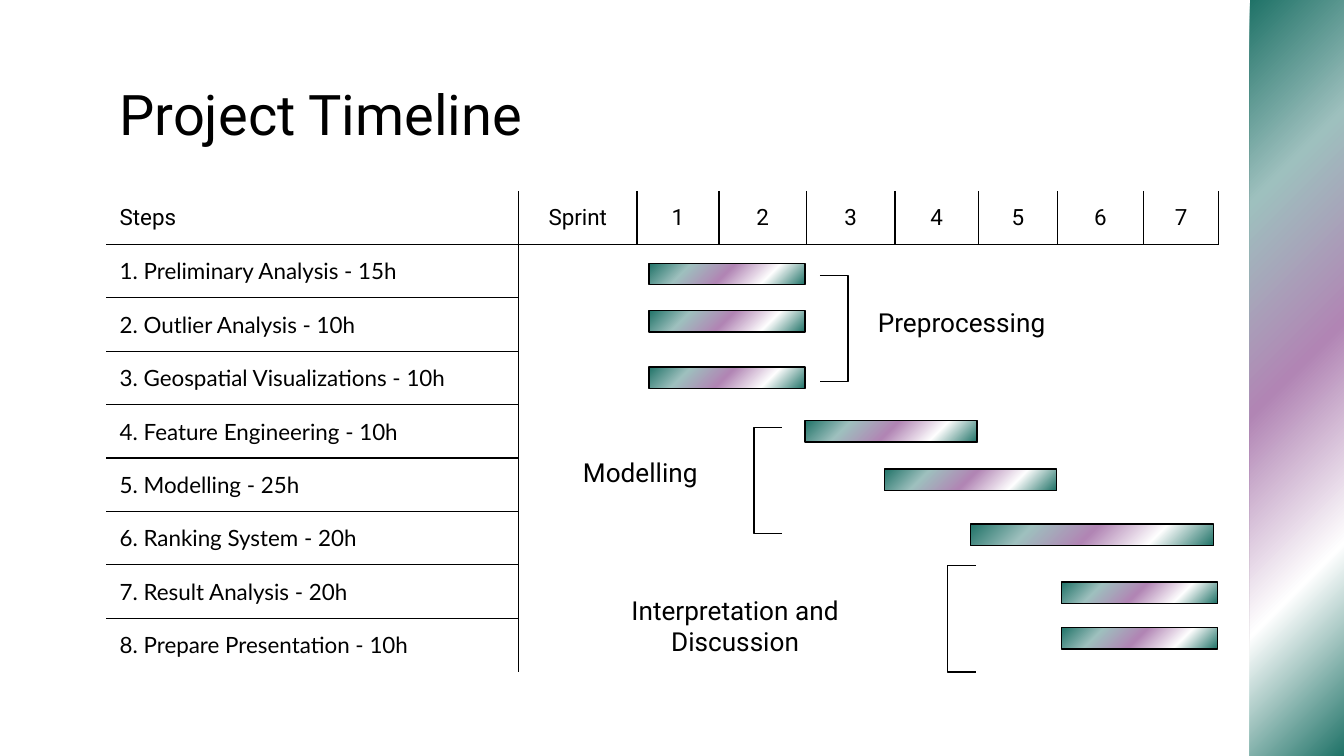
from lxml.etree import SubElement
from pptx import Presentation
from pptx.dml.color import RGBColor
from pptx.enum.shapes import MSO_SHAPE
from pptx.enum.text import MSO_ANCHOR, PP_ALIGN
from pptx.oxml import parse_xml
from pptx.oxml.ns import nsdecls, qn
from pptx.util import Inches, Pt

deck = Presentation()
deck.slide_width, deck.slide_height = Inches(10), Inches(5.625)
slide = deck.slides.add_slide(deck.slide_layouts[6])
shapes = slide.shapes

BLACK = "000000"
NO_STYLE = "{2D5ABB26-0587-4C30-8999-92F81FD0307C}"
STOPS = [(0, "207368"), (24, "9EC0BE"), (49, "B185B4"), (75, "FFFFFF"), (100, "207368")]
GRADIENT_STOPS = "".join(
    f'<a:gs pos="{share * 1000}"><a:srgbClr val="{shade}"/></a:gs>' for share, shade in STOPS
)


def percent(left, top, width, height):
    """Turn shares of the slide, in percent, into a position and a size."""
    across, down = deck.slide_width / 100, deck.slide_height / 100
    return int(left * across), int(top * down), int(width * across), int(height * down)


def write(frame, text, size, font="Roboto", align=PP_ALIGN.LEFT):
    frame.text = text
    paragraph = frame.paragraphs[0]
    paragraph.alignment = align
    for name, value in {"size": Pt(size), "name": font}.items():
        setattr(paragraph.font, name, value)
    paragraph.font.color.rgb = RGBColor.from_string(BLACK)


# Steps on the left, sprint numbers across the top, one open area for the bars
steps = [
    "Preliminary Analysis - 15h", "Outlier Analysis - 10h",
    "Geospatial Visualizations - 10h", "Feature Engineering - 10h",
    "Modelling - 25h", "Ranking System - 20h",
    "Result Analysis - 20h", "Prepare Presentation - 10h",
]
column_widths = [7.4, 7.4, 15.9, 8.8, 6.1, 6.5, 6.6, 6.2, 5.9, 6.4, 5.6]
row_height = 7.07
row_count, column_count = len(steps) + 1, len(column_widths)
plan = shapes.add_table(
    row_count, column_count,
    *percent(7.9, 25.24, sum(column_widths), row_height * row_count),
).table
plan.first_row = plan.horz_banding = False
plan._tbl.tblPr.find(qn("a:tableStyleId")).text = NO_STYLE
for column, width in zip(plan.columns, column_widths):
    column.width = percent(0, 0, width, 0)[2]
for row in plan.rows:
    row.height = percent(0, 0, 0, row_height)[3]

entries = {(0, 0): ("Steps", "Roboto", PP_ALIGN.LEFT, "RB")}
for offset, heading in enumerate(["Sprint", *"1234567"]):
    entries[0, 3 + offset] = (heading, "Roboto", PP_ALIGN.CENTER, "LRB")
for number, step in enumerate(steps, 1):
    sides = "RT" if number == len(steps) else "RTB"
    entries[number, 0] = (f"{number}. {step}", "Lato", PP_ALIGN.LEFT, sides)
entries[1, 3] = ("", "Lato", PP_ALIGN.LEFT, "LT")

for number in range(row_count):
    plan.cell(number, 0).merge(plan.cell(number, 2))
plan.cell(1, 3).merge(plan.cell(row_count - 1, column_count - 1))

cell_format = {
    "vertical_anchor": MSO_ANCHOR.MIDDLE,
    "margin_left": Inches(0.1), "margin_right": Inches(0.1),
    "margin_top": 0, "margin_bottom": 0,
}
for (row, column), (text, font, align, sides) in entries.items():
    cell = plan.cell(row, column)
    for name, value in cell_format.items():
        setattr(cell, name, value)
    if text:
        write(cell.text_frame, text, 12, font, align)
    for side in sides:
        border = SubElement(cell._tc.get_or_add_tcPr(), qn(f"a:ln{side}"), w=str(Pt(0.75)))
        SubElement(SubElement(border, qn("a:solidFill")), qn("a:srgbClr"), val=BLACK)
    cell.fill.background()

# Sidebar, then one bar for each step: left, top, width, height
sidebar = (93, 0, 7, 100)
bars = [
    (left, top, width, 2.84)
    for left, top, width in [
        (48.3, 34.84, 11.6), (48.3, 41.07, 11.6), (48.3, 48.53, 11.6),
        (59.9, 55.64, 12.8), (65.8, 62.04, 12.8), (72.2, 69.33, 18.1),
        (79, 76.98, 11.6), (79, 83.02, 11.6),
    ]
]
for area in [sidebar, *bars]:
    band = shapes.add_shape(MSO_SHAPE.RECTANGLE, *percent(*area))
    band.shadow.inherit = False
    band.fill.gradient()
    band.fill.gradient_angle = 315
    stop_list = band._element.spPr.find(qn("a:gradFill")).find(qn("a:gsLst"))
    stop_list.getparent().replace(
        stop_list, parse_xml(f"<a:gsLst {nsdecls('a')}>{GRADIENT_STOPS}</a:gsLst>")
    )
    if area == sidebar:
        band.line.fill.background()
    else:
        band.line.color.rgb = RGBColor.from_string(BLACK)
        band.line.width = Pt(0.75)

# Phases: bracket left, top and rotation
for left, top, turn in [(61, 36.44, 0), (56.1, 56.53, 180), (70.5, 74.84, 180)]:
    bracket = shapes.add_shape(MSO_SHAPE.RIGHT_BRACKET, *percent(left, top, 2.1, 14.04))
    bracket.adjustments[0] = 0
    bracket.rotation = turn
    bracket.shadow.inherit = False
    bracket.fill.background()
    bracket.line.color.rgb = RGBColor.from_string(BLACK)
    bracket.line.width = Pt(0.75)

# Title and phase names
captions = [
    ("Project Timeline", (7.9, 8.7, 84.3, 11.2), 30, PP_ALIGN.LEFT, MSO_ANCHOR.TOP),
    ("Preprocessing", (62.5, 40, 18.1, 5.16), 14, PP_ALIGN.CENTER, MSO_ANCHOR.MIDDLE),
    ("Modelling", (39.3, 59.91, 16.7, 5.16), 14, PP_ALIGN.CENTER, MSO_ANCHOR.MIDDLE),
    ("Interpretation and Discussion", (42.1, 80.18, 25.2, 5.16), 14,
     PP_ALIGN.CENTER, MSO_ANCHOR.MIDDLE),
]
for text, area, size, align, anchor in captions:
    frame = shapes.add_textbox(*percent(*area)).text_frame
    frame_format = {"word_wrap": True, "vertical_anchor": anchor}
    for edge in ["left", "right", "top", "bottom"]:
        frame_format[f"margin_{edge}"] = Inches(0.1)
    for name, value in frame_format.items():
        setattr(frame, name, value)
    write(frame, text, size, align=align)

deck.save("out.pptx")
